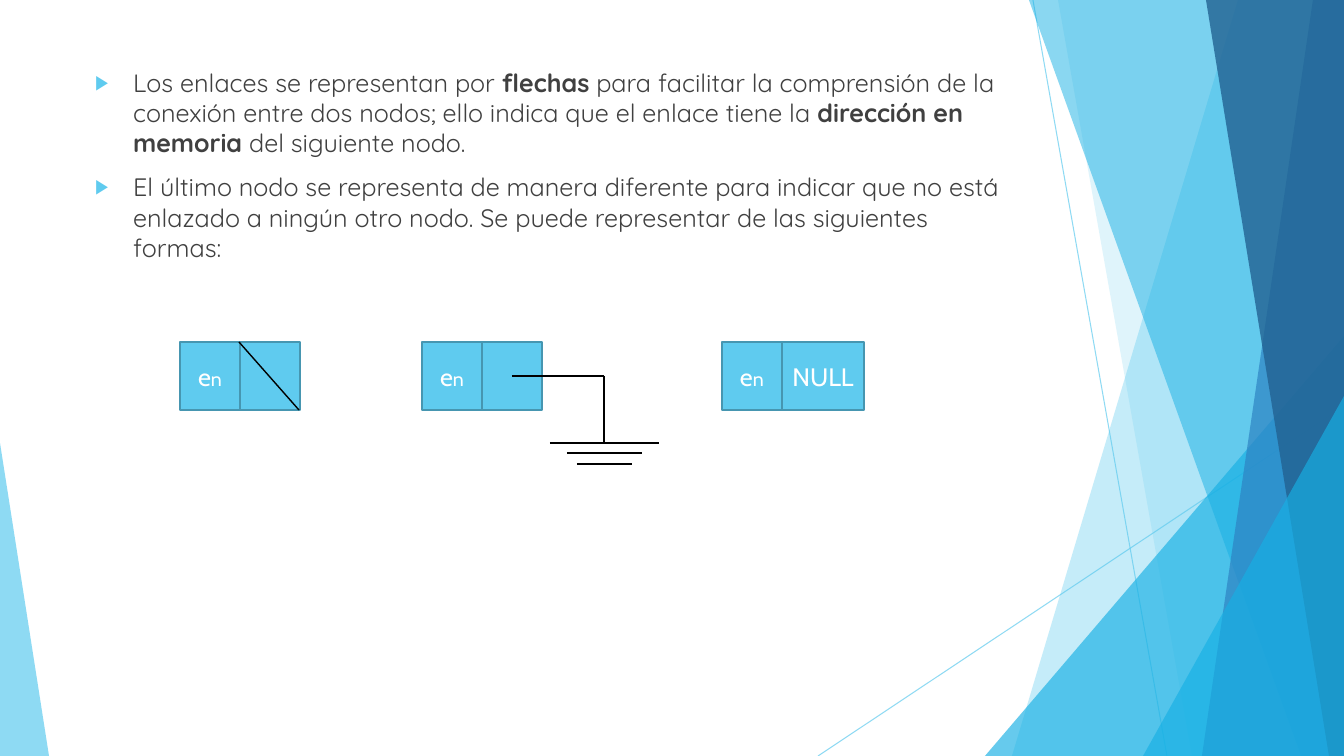
import pptx
import pptx.util
import pptx.dml.color
import pptx.enum.shapes
import pptx.enum.text
import pptx.oxml
import pptx.oxml.ns
import lxml.etree

PX = 914400 / 100.8
WIDTH, HEIGHT = 1344, 756
COLORS = {"sky": "5FCBEF", "cyan": "17B0E4", "blue": "2E83C3", "navy": "226292",
          "edge": "4696B1", "text": "404040", "white": "FFFFFF", "black": "000000"}

# Content: (text, bold) runs for each bullet
BULLETS = [
    [("Los enlaces se representan por ", False), ("flechas", True),
     (" para facilitar la comprensión de la conexión entre dos nodos; "
      "ello indica que el enlace tiene la ", False),
     ("dirección en memoria", True), (" del siguiente nodo. ", False)],
    [("El último nodo se representa de manera diferente para indicar que no está "
      "enlazado a ningún otro nodo. Se puede representar de las siguientes formas:", False)],
]
ELEMENT = [("e", 18), ("n", 14)]
# Nodes: left, width of the link cell, runs of the link cell
NODES = [(180, 60, []), (422, 60, []), (722, 82, [("NULL", 18)])]
NODE_TOP, NODE_HEIGHT, CELL_WIDTH = 342, 68, 60

# Null marks: diagonal stroke, then the wire to ground and its three bars
NULL_LINES = [(239, 342, 299, 410), (512, 376, 604, 376), (604, 376, 604, 443),
              (550, 443, 659, 443), (567, 453, 642, 453), (577, 464, 632, 464)]

# Background: thin rays, bands (top x, bottom x), triangles (left, top, apex)
RAYS = [(1033, 0, 1167, 756), (1344, 406, 818, 756)]
FACETS = [
    ("band", (1238, 1012), "sky", 36),
    ("band", (1058, 1192), "sky", 20),
    ("triangle", (985, 336, 1344, 1), "cyan", 66),
    ("band", (1029, 1301), "cyan", 50),
    ("band", (1313, 1202), "blue", 70),
    ("band", (1206, 1329), "navy", 80),
    ("triangle", (1143, 396, 1344, 1), "cyan", 66),
    ("triangle", (0, 443, 49, 0), "sky", 70),
]


def px(*lengths):
    return [pptx.util.Emu(round(length * PX)) for length in lengths]


def rgb(name):
    return pptx.dml.color.RGBColor.from_string(COLORS[name])


def set_alpha(fill_parent, percent):
    color = fill_parent.find(".//" + pptx.oxml.ns.qn("a:srgbClr"))
    alpha = lxml.etree.SubElement(color, pptx.oxml.ns.qn("a:alpha"))
    alpha.set("val", str(percent * 1000))


def add_line(ends, color, points, opacity=100):
    line = slide.shapes.add_connector(pptx.enum.shapes.MSO_CONNECTOR.STRAIGHT, *px(*ends))
    line.line.color.rgb = rgb(color)
    line.line.width = pptx.util.Pt(points)
    properties = line._element.spPr
    if opacity < 100:
        set_alpha(properties, opacity)
    lxml.etree.SubElement(properties, pptx.oxml.ns.qn("a:effectLst"))


def add_run(paragraph, text, size, font, color, bold=False):
    run = paragraph.add_run()
    run.text = text
    run.font.size = pptx.util.Pt(size)
    run.font.name = font
    run.font.bold = bold
    run.font.color.rgb = rgb(color)


def add_facet(kind, place, color, opacity):
    if kind == "band":
        top, bottom = place
        outline = slide.shapes.build_freeform(top, 0, scale=PX)
        outline.add_line_segments([(WIDTH, 0), (WIDTH, HEIGHT), (bottom, HEIGHT)])
        facet = outline.convert_to_shape()
    else:
        left, top, right, apex = place
        facet = slide.shapes.add_shape(pptx.enum.shapes.MSO_SHAPE.ISOSCELES_TRIANGLE,
                                       *px(left, top, right - left, HEIGHT - top))
        facet.adjustments[0] = apex
    facet.shadow.inherit = False
    facet.fill.solid()
    facet.fill.fore_color.rgb = rgb(color)
    set_alpha(facet._element.spPr, opacity)
    facet.line.fill.background()


def add_cell(left, width, runs):
    cell = slide.shapes.add_shape(pptx.enum.shapes.MSO_SHAPE.RECTANGLE,
                                  *px(left, NODE_TOP, width, NODE_HEIGHT))
    cell.shadow.inherit = False
    cell.fill.solid()
    cell.fill.fore_color.rgb = rgb("sky")
    cell.line.color.rgb = rgb("edge")
    cell.line.width = pptx.util.Pt(1.5)
    cell.text_frame.word_wrap = False
    cell.text_frame.vertical_anchor = pptx.enum.text.MSO_ANCHOR.MIDDLE
    paragraph = cell.text_frame.paragraphs[0]
    paragraph.alignment = pptx.enum.text.PP_ALIGN.CENTER
    for text, size in runs:
        add_run(paragraph, text, size, "Cabin", "white")


def set_bullet(paragraph):
    properties = paragraph._p.get_or_add_pPr()
    indent = px(38)[0]
    properties.set("marL", str(indent))
    properties.set("indent", str(-indent))
    namespace = pptx.oxml.ns.nsdecls("a")
    for xml in (f'<a:buClr {namespace}><a:srgbClr val="{COLORS["sky"]}"/></a:buClr>',
                f'<a:buSzPct {namespace} val="80000"/>',
                f'<a:buFont {namespace} typeface="Arial"/>',
                f'<a:buChar {namespace} char="▶"/>'):
        properties.append(pptx.oxml.parse_xml(xml))


deck = pptx.Presentation()
deck.slide_width, deck.slide_height = px(WIDTH, HEIGHT)
slide = deck.slides.add_slide(deck.slide_layouts[1])
title = slide.shapes.title
title._element.getparent().remove(title._element)

# Background
for ends in RAYS:
    add_line(ends, "sky", 0.75, 70)
for facet in FACETS:
    add_facet(*facet)

# Bullets
body = slide.placeholders[1]
body.left, body.top, body.width, body.height = px(85, 62, 947, 219)
explanation = body.text_frame
explanation.auto_size = pptx.enum.text.MSO_AUTO_SIZE.NONE
explanation.word_wrap = True
explanation.vertical_anchor = pptx.enum.text.MSO_ANCHOR.TOP
for number, runs in enumerate(BULLETS):
    paragraph = explanation.add_paragraph() if number else explanation.paragraphs[0]
    paragraph.space_before = pptx.util.Pt(10)
    set_bullet(paragraph)
    for text, bold in runs:
        add_run(paragraph, text, 18, "Quicksand", "text", bold)

# Nodes
for left, link_width, link_runs in NODES:
    add_cell(left, CELL_WIDTH, ELEMENT)
    add_cell(left + CELL_WIDTH, link_width, link_runs)

# Null marks
for ends in NULL_LINES:
    add_line(ends, "black", 1)

deck.save("out.pptx")
